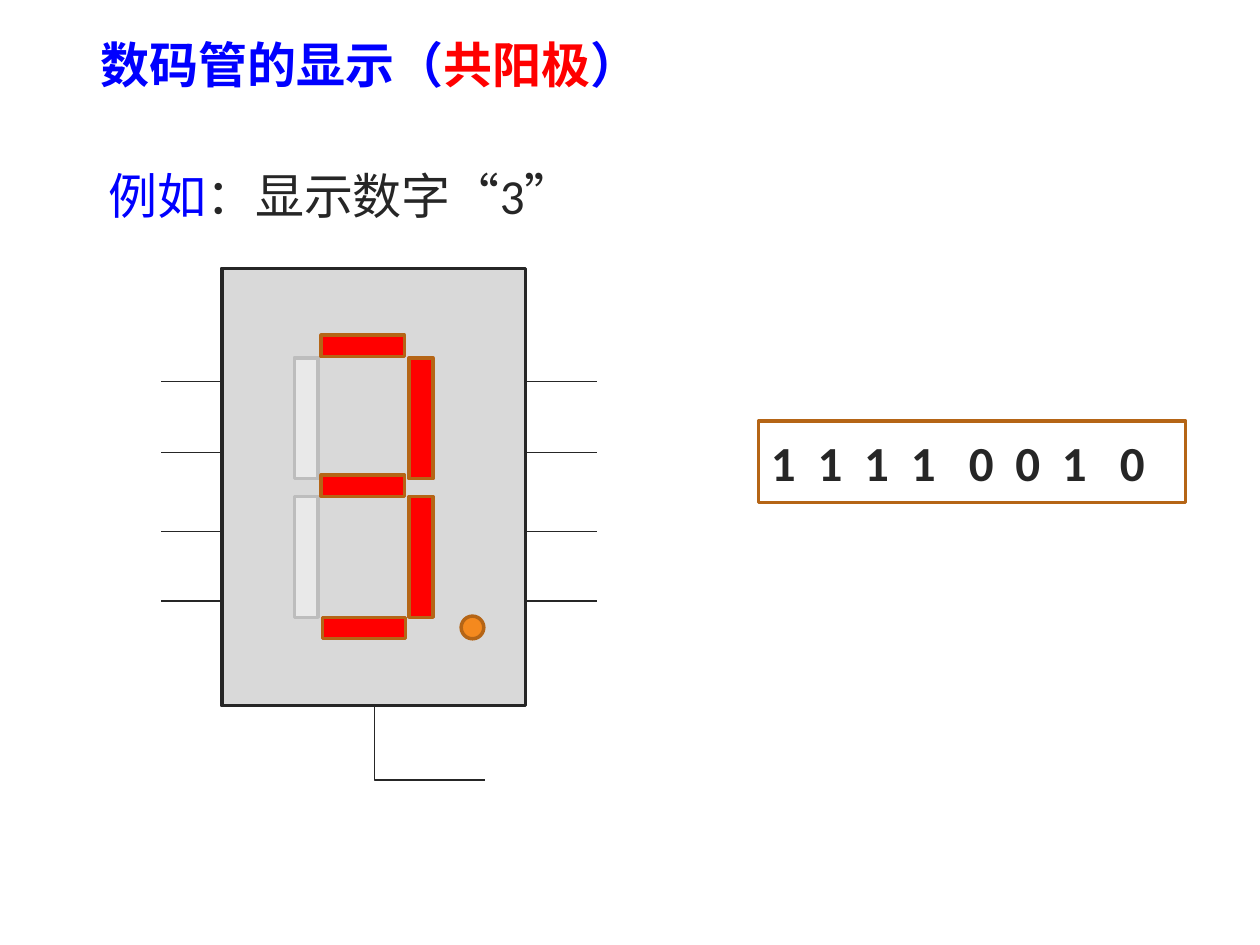
import pptx
import pptx.util
import pptx.dml.color
import pptx.enum.shapes
import pptx.enum.text
import pptx.oxml.ns
from lxml import etree

Inches = pptx.util.Inches
Pt = pptx.util.Pt
qn = pptx.oxml.ns.qn
SHAPE = pptx.enum.shapes.MSO_SHAPE
CONNECTOR = pptx.enum.shapes.MSO_CONNECTOR
ANCHOR = pptx.enum.text.MSO_ANCHOR
LEFT = pptx.enum.text.PP_ALIGN.LEFT

CJK, LATIN = "Noto Sans CJK SC", "Calibri"
INK, BLUE, RED, BROWN = "262626", "0000FF", "FF0000", "B56516"
ON, OFF = (RED, BROWN), ("E9E9E9", "BDBDBD")

TITLE = [("数码管的显示（", BLUE), ("共阳极", RED), ("）", BLUE)]
EXAMPLE = [("例如", BLUE), ("：显示数字“3”", INK)]
BITS = "11110010"
BIT_STEP, GROUP_STEP, GROUP_STARTS = 0.37, 0.46, (4, 7)

PIN_ROWS = [3.03, 3.59, 4.22, 4.77]
PIN_LEFT, PIN_RIGHT = 1.28, 4.74
CHIP = (1.76, 2.13, 2.41, 3.47)
DOT = (3.66, 4.89, 0.18, 0.18)
CODE_BOX = (6.02, 3.34, 3.39, 0.65)

BAR_W, BAR_H = 0.66, 0.17
POST_W, POST_H = 0.19, 0.96
BARS = [(2.55, 2.66), (2.55, 3.77), (2.56, 4.9)]
POST_COLUMNS = [(2.43, OFF), (3.34, ON)]
POST_ROWS = [3.31, 4.42]


def color(value):
    return pptx.dml.color.RGBColor.from_string(value)


def add_box(s, kind, at, fill, line):
    sp = s.shapes.add_shape(kind, *map(Inches, at))
    sp.shadow.inherit = False
    if fill:
        sp.fill.solid()
        sp.fill.fore_color.rgb = color(fill)
    else:
        sp.fill.background()
    sp.line.color.rgb = color(line)
    sp.line.width = Pt(2)
    return sp


def add_line(s, kind, start, end):
    sp = s.shapes.add_connector(kind, *map(Inches, start + end))
    sp.line.color.rgb = color(INK)
    sp.line.width = Pt(0.75)
    etree.SubElement(sp._element.spPr, qn("a:effectLst"))
    return sp


def write(p, pieces, font, bold=False):
    p.alignment = LEFT
    for text, tint in pieces:
        r = p.add_run()
        r.text = text
        r.font.size = Pt(28)
        r.font.bold = bold
        r.font.name = font
        r.font.color.rgb = color(tint)
        etree.SubElement(r._r.get_or_add_rPr(), qn("a:ea"), typeface=CJK)


def add_tabs(p, stops):
    tabs = etree.SubElement(p._p.get_or_add_pPr(), qn("a:tabLst"))
    for stop in stops:
        etree.SubElement(tabs, qn("a:tab"), pos=str(Inches(stop)), algn="l")


def place(sp, at):
    sp.left, sp.top, sp.width, sp.height = map(Inches, at)


def main():
    prs = pptx.Presentation()
    prs.slide_width, prs.slide_height = Inches(10), Inches(7.5)
    s = prs.slides.add_slide(prs.slide_layouts[5])

    title = s.shapes.title
    place(title, (0.7, 0.13, 7.71, 0.75))
    title.text_frame.vertical_anchor = ANCHOR.MIDDLE
    write(title.text_frame.paragraphs[0], TITLE, CJK, True)

    example = s.shapes.add_textbox(*map(Inches, (0.75, 1.15, 8.82, 0.7)))
    tf = example.text_frame
    tf.word_wrap = True
    tf.margin_left = tf.margin_right = Inches(0.11)
    tf.paragraphs[0].line_spacing = 1.25
    write(tf.paragraphs[0], EXAMPLE, LATIN)

    for y in PIN_ROWS:
        add_line(s, CONNECTOR.STRAIGHT, (PIN_LEFT, y), (PIN_RIGHT, y))
    add_box(s, SHAPE.RECTANGLE, CHIP, "D9D9D9", INK)

    for x, colors in POST_COLUMNS:
        for middle in (y + POST_H / 2 for y in (POST_ROWS[0] - POST_H / 2 + 0.01,
                                                POST_ROWS[1] - POST_H / 2)):
            at = (x - POST_H / 2, middle - POST_W / 2, POST_H, POST_W)
            add_box(s, SHAPE.RECTANGLE, at, *colors).rotation = 90
    for x, y in BARS:
        add_box(s, SHAPE.RECTANGLE, (x, y, BAR_W, BAR_H), *ON)
    add_box(s, SHAPE.OVAL, DOT, "F4891E", BROWN)

    lead = add_line(s, CONNECTOR.ELBOW, (3.7, 5.46), (3.12, 6.34))
    lead._element.spPr.find(qn("a:xfrm")).set("rot", str(270 * 60000))
    lead._element.spPr.find(qn("a:prstGeom")).set("prst", "bentConnector2")

    code = add_box(s, SHAPE.RECTANGLE, CODE_BOX, None, BROWN)
    code.text_frame.vertical_anchor = ANCHOR.MIDDLE
    p = code.text_frame.paragraphs[0]
    stops, x = [], 0
    for i in range(1, len(BITS)):
        x += GROUP_STEP if i in GROUP_STARTS else BIT_STEP
        stops.append(x)
    add_tabs(p, stops)
    write(p, [("\t".join(BITS), INK)], LATIN, True)

    prs.save("out.pptx")


if __name__ == "__main__":
    main()
